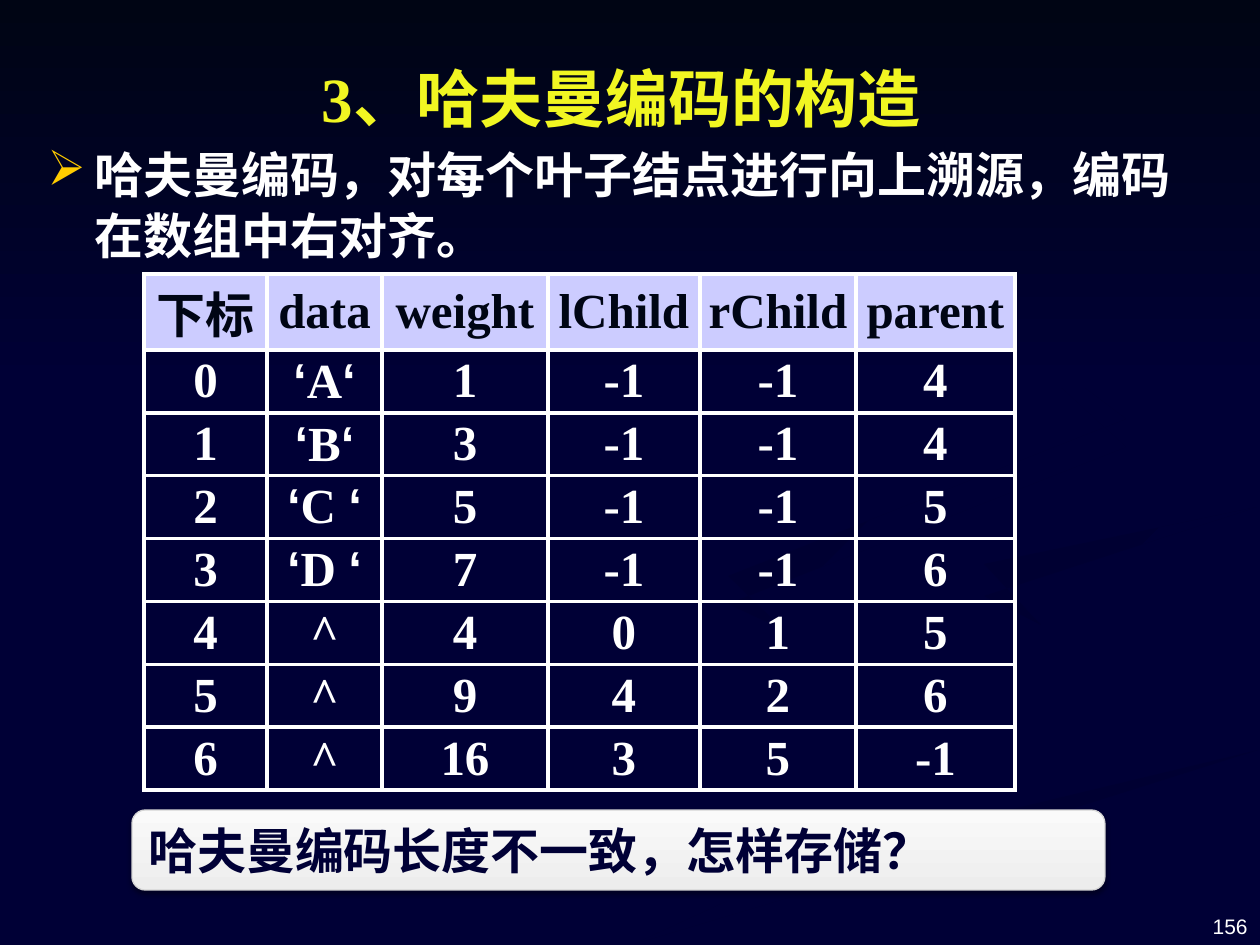
from dataclasses import dataclass
from math import pi, sin

from lxml.etree import SubElement
from pptx import Presentation
from pptx.dml.color import RGBColor
from pptx.enum.shapes import MSO_SHAPE
from pptx.enum.text import MSO_ANCHOR, PP_ALIGN
from pptx.oxml.ns import qn
from pptx.util import Emu, Pt

EMU_PER_PX = 914400 / 126


@dataclass(frozen=True)
class Theme:
    night: str = "000036"
    dusk: str = "000034"
    shade: str = "000032"
    ink: str = "000514"
    white: str = "FFFFFF"
    title: str = "F1F622"
    bullet: str = "FFCC00"
    header: str = "CCCCFF"
    callout_low: str = "EDEDED"
    callout_high: str = "FAFAFA"
    callout_edge: str = "D5D5D5"
    serif: str = "Times New Roman"
    sans: str = "Arial"
    title_size: int = 36
    text_size: int = 28
    number_size: int = 12


THEME = Theme()


@dataclass(frozen=True)
class Box:
    left: int
    top: int
    width: int
    height: int

    def emu(self) -> list[Emu]:
        return [px(n) for n in (self.left, self.top, self.width, self.height)]


@dataclass(frozen=True)
class Ribbon:
    """A tapered background band along a spine; angle is clockwise degrees."""
    spine: tuple[tuple[int, int], ...]
    start: str
    end: str
    angle: int

    def outline(self) -> list[tuple[float, float]]:
        last = len(self.spine) - 1
        swell = [RIBBON_HALF * sin(pi * i / last) for i in range(last + 1)]
        upper = [(x, y - s) for (x, y), s in zip(self.spine, swell)]
        lower = [(x, y + s) for (x, y), s in zip(self.spine, swell)]
        return upper + lower[-2:0:-1]


RIBBON_HALF = 16
RIBBONS = (
    Ribbon(((724, 578), (795, 636), (1008, 725), (679, 826), (378, 944)),
           THEME.night, THEME.dusk, 0),
    Ribbon(((912, 585), (1000, 650), (1188, 725), (1126, 762)),
           THEME.night, THEME.dusk, 45),
    Ribbon(((634, 944), (834, 868), (1258, 750)), THEME.shade, THEME.night, 90),
    Ribbon(((601, 944), (936, 820), (1188, 718), (914, 585), (1259, 488)),
           THEME.night, THEME.night, 0),
    Ribbon(((1041, 625), (984, 580), (1257, 507)), THEME.shade, THEME.night, 45),
    Ribbon(((784, 630), (728, 590), (1126, 433), (960, 294)),
           THEME.shade, THEME.night, 45),
)

COLUMN_WIDTHS = (123, 115, 166, 152, 156, 159)
HEADER_HEIGHT, ROW_HEIGHT = 76, 59
HEADINGS = "下标 data weight lChild rChild parent".split()
NODES = (
    ("‘A‘", "1", "-1", "-1", "4"),
    ("‘B‘", "3", "-1", "-1", "4"),
    ("‘C ‘", "5", "-1", "-1", "5"),
    ("‘D ‘", "7", "-1", "-1", "6"),
    ("^", "4", "0", "1", "5"),
    ("^", "9", "4", "2", "6"),
    ("^", "16", "3", "5", "-1"),
)


def px(count: int) -> Emu:
    return Emu(round(count * EMU_PER_PX))


def rgb(value: str) -> RGBColor:
    return RGBColor.from_string(value)


def fill_gradient(shape, start: str, end: str, angle: int) -> None:
    shape.shadow.inherit = False
    shape.fill.gradient()
    shape.fill.gradient_angle = (360 - angle) % 360
    for stop, value in zip(shape.fill.gradient_stops, (start, end)):
        stop.color.rgb = rgb(value)


def style(para, size: int, color: str, bold: bool = True, name: str = THEME.serif) -> None:
    font = para.font
    font.size, font.bold, font.name = Pt(size), bold, name
    font.color.rgb = rgb(color)


def draw_ribbon(page, ribbon: Ribbon) -> None:
    first, *others = ribbon.outline()
    builder = page.shapes.build_freeform(*first, scale=EMU_PER_PX)
    builder.add_line_segments(others, close=True)
    shape = builder.convert_to_shape()
    shape.line.fill.background()
    fill_gradient(shape, ribbon.start, ribbon.end, ribbon.angle)


def draw_sky(page, box: Box) -> None:
    sky = page.shapes.add_shape(MSO_SHAPE.RECTANGLE, *box.emu())
    sky.line.fill.background()
    fill_gradient(sky, THEME.ink, THEME.night, 90)


def add_text(page, box: Box, text: str, anchor=MSO_ANCHOR.TOP, align=PP_ALIGN.LEFT):
    frame = page.shapes.add_textbox(*box.emu()).text_frame
    frame.word_wrap = True
    frame.vertical_anchor = anchor
    para = frame.paragraphs[0]
    para.text, para.alignment = text, align
    return para


def add_bullet(para, indent: int) -> None:
    props = para._p.get_or_add_pPr()
    props.set("marL", str(px(indent)))
    props.set("indent", str(-px(indent)))
    SubElement(SubElement(props, qn("a:buClr")), qn("a:srgbClr"), val=THEME.bullet)
    SubElement(props, qn("a:buChar"), char="➢")


def add_borders(cell) -> None:
    props = cell._tc.get_or_add_tcPr()
    for side in ("lnL", "lnR", "lnT", "lnB"):
        line = SubElement(props, qn(f"a:{side}"), w=str(Pt(2.25)))
        SubElement(SubElement(line, qn("a:solidFill")), qn("a:srgbClr"), val=THEME.white)


def fill_cell(cell, text: str, header: bool) -> None:
    add_borders(cell)
    if header:
        cell.fill.solid()
        cell.fill.fore_color.rgb = rgb(THEME.header)
    else:
        cell.fill.background()
    cell.margin_left = cell.margin_right = px(8)
    cell.margin_top = cell.margin_bottom = px(2)
    cell.vertical_anchor = MSO_ANCHOR.MIDDLE
    para = cell.text_frame.paragraphs[0]
    para.alignment = PP_ALIGN.CENTER
    style(para, THEME.text_size, THEME.ink if header else THEME.white)
    quoted = text.startswith("‘")
    for part in (text[0], text[1:-1], text[-1]) if quoted else (text,):
        span = para.add_run()
        span.text = part
        if part == "‘":
            span.font.name = THEME.sans


def draw_table(page, left: int, top: int) -> None:
    rows = [HEADINGS] + [(str(i), *node) for i, node in enumerate(NODES)]
    heights = [HEADER_HEIGHT] + [ROW_HEIGHT] * len(NODES)
    box = Box(left, top, sum(COLUMN_WIDTHS), sum(heights))
    table = page.shapes.add_table(len(rows), len(COLUMN_WIDTHS), *box.emu()).table
    table.horz_banding = False
    for column, width in zip(table.columns, COLUMN_WIDTHS):
        column.width = px(width)
    for row, height, values in zip(table.rows, heights, rows):
        row.height = px(height)
        for cell, text in zip(row.cells, values):
            fill_cell(cell, text, header=values is HEADINGS)


def draw_callout(page, box: Box, text: str) -> None:
    shape = page.shapes.add_shape(MSO_SHAPE.ROUNDED_RECTANGLE, *box.emu())
    fill_gradient(shape, THEME.callout_low, THEME.callout_high, 270)
    shape.line.color.rgb, shape.line.width = rgb(THEME.callout_edge), Pt(0.75)
    effects = shape._element.spPr.find(qn("a:effectLst"))
    shadow = SubElement(effects, qn("a:outerShdw"), blurRad=str(Pt(3.1)),
                        dist=str(Pt(1.6)), dir="5400000", rotWithShape="0")
    tint = SubElement(shadow, qn("a:srgbClr"), val="000000")
    SubElement(tint, qn("a:alpha"), val="38000")
    frame = shape.text_frame
    frame.word_wrap, frame.vertical_anchor = True, MSO_ANCHOR.TOP
    para = frame.paragraphs[0]
    para.text, para.alignment = text, PP_ALIGN.LEFT
    style(para, THEME.text_size, THEME.night)


def main() -> None:
    deck = Presentation()
    deck.slide_width, deck.slide_height = px(1260), px(945)
    page = deck.slides.add_slide(deck.slide_layouts[6])
    page.background.fill.solid()
    page.background.fill.fore_color.rgb = rgb(THEME.night)
    for ribbon in RIBBONS:
        draw_ribbon(page, ribbon)
    draw_sky(page, Box(0, 0, 1260, 388))

    number = add_text(page, Box(966, 879, 294, 66), "156", MSO_ANCHOR.BOTTOM, PP_ALIGN.RIGHT)
    style(number, THEME.number_size, THEME.white, bold=False, name=THEME.sans)
    title = add_text(page, Box(54, 30, 1134, 135), "3、哈夫曼编码的构造",
                     MSO_ANCHOR.MIDDLE, PP_ALIGN.CENTER)
    style(title, THEME.title_size, THEME.title)
    body = add_text(page, Box(35, 135, 1196, 139),
                    "哈夫曼编码，对每个叶子结点进行向上溯源，编码在数组中右对齐。")
    body.line_spacing = 1.05
    add_bullet(body, 47)
    style(body, THEME.text_size, THEME.white)

    draw_table(page, 144, 274)
    draw_callout(page, Box(132, 810, 973, 80), "哈夫曼编码长度不一致，怎样存储？")
    deck.save("out.pptx")


if __name__ == "__main__":
    main()
